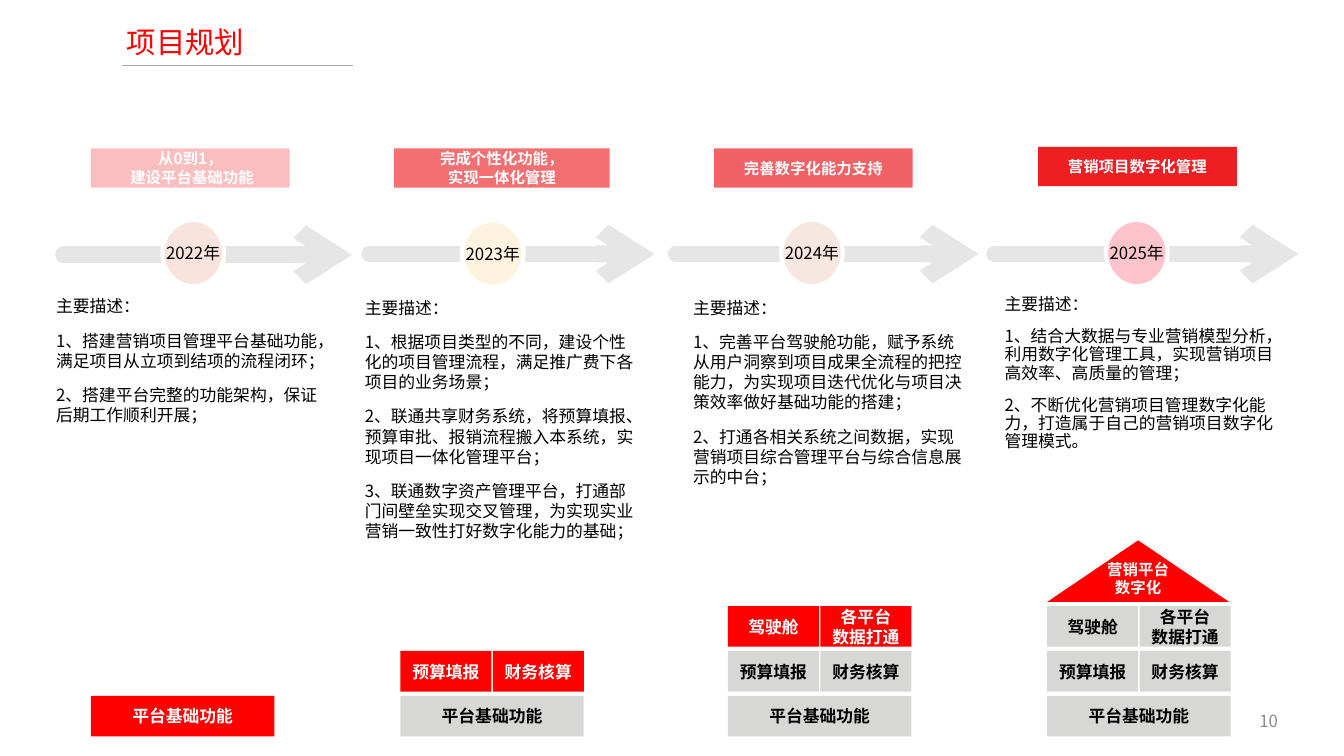
from pptx import Presentation
from pptx.dml.color import RGBColor
from pptx.enum.shapes import MSO_CONNECTOR, MSO_SHAPE
from pptx.enum.text import MSO_ANCHOR, MSO_AUTO_SIZE, PP_ALIGN
from pptx.oxml.ns import qn
from pptx.util import Pt
from lxml import etree

RECT, OVAL, TRIANGLE = MSO_SHAPE.RECTANGLE, MSO_SHAPE.OVAL, MSO_SHAPE.ISOSCELES_TRIANGLE
LEFT, CENTER, RIGHT = PP_ALIGN.LEFT, PP_ALIGN.CENTER, PP_ALIGN.RIGHT
TOP, MIDDLE, BOTTOM = MSO_ANCHOR.TOP, MSO_ANCHOR.MIDDLE, MSO_ANCHOR.BOTTOM
STRAIGHT = MSO_CONNECTOR.STRAIGHT

THEME = {
    "font": "Noto Sans CJK SC", "title_size": 21, "body_size": 12, "band_size": 11,
    "red": "FF0000", "gray": "D7D8D6", "arrow": "E7E6E6", "rule": "A6A6A6",
    "number": "8C8C8C", "black": "000000", "white": "FFFFFF",
}

TITLE = "项目规划"
PAGE_NUMBER = "10"
BASE, BUDGET, FINANCE = "平台基础功能", "预算填报", "财务核算"
COCKPIT, DATA = "驾驶舱", "各平台\n数据打通"
ROOF = "营销平台\n数字化"

PHASES = [
    {"year": "2022年", "year_at": (116, 157), "year_fill": "F9E4DD",
     "arrow": (45.5, 251.5, 182),
     "band": "从0到1，\n 建设平台基础功能", "band_at": (65, 106, 142),
     "band_fill": "FABEBF", "alpha": 100,
     "notes_at": (33, 208), "spacing": 1.0,
     "notes": ["主要描述：",
               "1、搭建营销项目管理平台基础功能，满足项目从立项到结项的流程闭环；",
               "2、搭建平台完整的功能架构，保证后期工作顺利开展；"],
     "blocks_x": 65, "blocks": [[BASE]], "roof": None},
    {"year": "2023年", "year_at": (330, 157.5), "year_fill": "FEF3DF",
     "arrow": (264, 467.5, 181.5),
     "band": "完成个性化功能，\n实现一体化管理", "band_at": (281.5, 106, 154),
     "band_fill": "F46F72", "alpha": 100,
     "notes_at": (253.5, 209), "spacing": 1.0,
     "notes": ["主要描述：",
               "1、根据项目类型的不同，建设个性化的项目管理流程，满足推广费下各项目的业务场景；",
               "2、联通共享财务系统，将预算填报、预算审批、报销流程搬入本系统，实现项目一体化管理平台；",
               "3、联通数字资产管理平台，打通部门间壁垒实现交叉管理，为实现实业营销一致性打好数字化能力的基础；"],
     "blocks_x": 286, "blocks": [[BASE], [BUDGET, FINANCE]], "roof": None},
    {"year": "2024年", "year_at": (558, 157), "year_fill": "F7E7E1",
     "arrow": (483, 699, 181.5),
     "band": "完善数字化能力支持", "band_at": (510, 106, 142),
     "band_fill": "F25659", "alpha": 93,
     "notes_at": (488, 209), "spacing": 1.0,
     "notes": ["主要描述：",
               "1、完善平台驾驶舱功能，赋予系统从用户洞察到项目成果全流程的把控能力，为实现项目迭代优化与项目决策效率做好基础功能的搭建；",
               "2、打通各相关系统之间数据，实现营销项目综合管理平台与综合信息展示的中台；"],
     "blocks_x": 520, "blocks": [[BASE], [BUDGET, FINANCE], [COCKPIT, DATA]], "roof": None},
    {"year": "2025年", "year_at": (790, 157), "year_fill": "FFC3CB",
     "arrow": (710.5, 927.5, 181.5),
     "band": "营销项目数字化管理", "band_at": (741.5, 105, 142),
     "band_fill": "EE1E23", "alpha": 100,
     "notes_at": (710.5, 208), "spacing": 0.9,
     "notes": ["主要描述：",
               "1、结合大数据与专业营销模型分析，利用数字化管理工具，实现营销项目高效率、高质量的管理；",
               "2、不断优化营销项目管理数字化能力，打造属于自己的营销项目数字化管理模式。"],
     "blocks_x": 748, "blocks": [[BASE], [BUDGET, FINANCE], [COCKPIT, DATA]], "roof": ROOF},
]

BAND_H = 28
YEAR_W, YEAR_H = 44, 47.5
NOTES_W, NOTES_H = 209.5, 125
BLOCK_W, BLOCK_H, BLOCK_GAP = 131, 29, 1
BASE_Y, ROW_PITCH = 497, 32
ROOF_W, ROOF_H, ROOF_GAP = 130, 44, 3


def rgb(name):
    return RGBColor.from_string(THEME.get(name, name))


def write(sp, text, size, color, bold=False, align=CENTER, anchor=MIDDLE, wrap=True,
          before=0, spacing=None):
    tf = sp.text_frame
    tf.text = text
    tf.word_wrap = wrap
    tf.vertical_anchor = anchor
    for p in tf.paragraphs:
        p.alignment = align
        p.space_before = Pt(before)
        p.line_spacing = spacing
        for r in p.runs:
            r.font.size = Pt(THEME[size])
            r.font.bold = bold
            r.font.color.rgb = rgb(color)
            r.font.name = THEME["font"]
            ea = etree.SubElement(r.font._element, qn("a:ea"))
            ea.set("typeface", THEME["font"])
    return tf


def add_box(s, kind, x, y, w, h, fill):
    sp = s.shapes.add_shape(kind, Pt(x), Pt(y), Pt(w), Pt(h))
    sp.shadow.inherit = False
    sp.fill.solid()
    sp.fill.fore_color.rgb = rgb(fill)
    sp.line.fill.background()
    return sp


def add_text(s, x, y, w, h, text, size, color, **style):
    sp = s.shapes.add_textbox(Pt(x), Pt(y), Pt(w), Pt(h))
    return write(sp, text, size, color, **style)


def add_line(s, x1, x2, y, color, width):
    line = s.shapes.add_connector(STRAIGHT, Pt(x1), Pt(y), Pt(x2), Pt(y))
    line.line.color.rgb = rgb(color)
    line.line.width = Pt(width)
    etree.SubElement(line._element.spPr, qn("a:effectLst"))
    return line


def add_timeline(s, phase):
    arrow = add_line(s, *phase["arrow"], "arrow", 12)
    ln = arrow.line._ln
    ln.set("cap", "rnd")
    etree.SubElement(ln, qn("a:round"))
    etree.SubElement(ln, qn("a:tailEnd")).set("type", "arrow")
    sp = add_box(s, OVAL, *phase["year_at"], YEAR_W, YEAR_H, phase["year_fill"])
    sp.line.color.rgb = rgb("white")
    sp.line.width = Pt(3)
    write(sp, phase["year"], "body_size", "black", wrap=False)


def add_band(s, phase):
    sp = add_box(s, RECT, *phase["band_at"], BAND_H, phase["band_fill"])
    if phase["alpha"] < 100:
        color = sp._element.spPr.find(qn("a:solidFill"))[0]
        etree.SubElement(color, qn("a:alpha")).set("val", str(phase["alpha"] * 1000))
    write(sp, phase["band"], "band_size", "white", bold=True)


def add_blocks(s, phase):
    x, rows, roof = phase["blocks_x"], phase["blocks"], phase["roof"]
    for level, row in enumerate(rows):
        newest = level == len(rows) - 1 and not roof
        fill, color = ("red", "white") if newest else ("gray", "black")
        w = (BLOCK_W - BLOCK_GAP * (len(row) - 1)) / len(row)
        for i, label in enumerate(row):
            sp = add_box(s, RECT, x + i * (w + BLOCK_GAP), BASE_Y - level * ROW_PITCH,
                         w, BLOCK_H, fill)
            write(sp, label, "body_size", color, bold=True)
    if roof:
        y = BASE_Y - (len(rows) - 1) * ROW_PITCH - ROOF_GAP - ROOF_H
        sp = add_box(s, TRIANGLE, x, y, ROOF_W, ROOF_H, "red")
        write(sp, roof, "band_size", "white", bold=True, anchor=BOTTOM)


def main():
    prs = Presentation()
    prs.slide_width, prs.slide_height = Pt(960), Pt(540)
    s = prs.slides.add_slide(prs.slide_layouts[6])
    add_line(s, 87, 252, 47, "rule", 0.5)
    tf = add_text(s, 88.5, 15, 88.5, 29.5, TITLE, "title_size", "red", align=LEFT, wrap=False)
    tf.auto_size = MSO_AUTO_SIZE.SHAPE_TO_FIT_TEXT
    tf.margin_left = tf.margin_right = tf.margin_top = tf.margin_bottom = Pt(2)
    add_text(s, 704, 500.5, 216, 28.5, PAGE_NUMBER, "body_size", "number", align=RIGHT)
    for phase in PHASES:
        add_timeline(s, phase)
        add_text(s, *phase["notes_at"], NOTES_W, NOTES_H, "\n".join(phase["notes"]),
                 "body_size", "black", align=LEFT, anchor=TOP, before=10,
                 spacing=phase["spacing"])
        add_band(s, phase)
        add_blocks(s, phase)
    prs.save("out.pptx")


if __name__ == "__main__":
    main()
